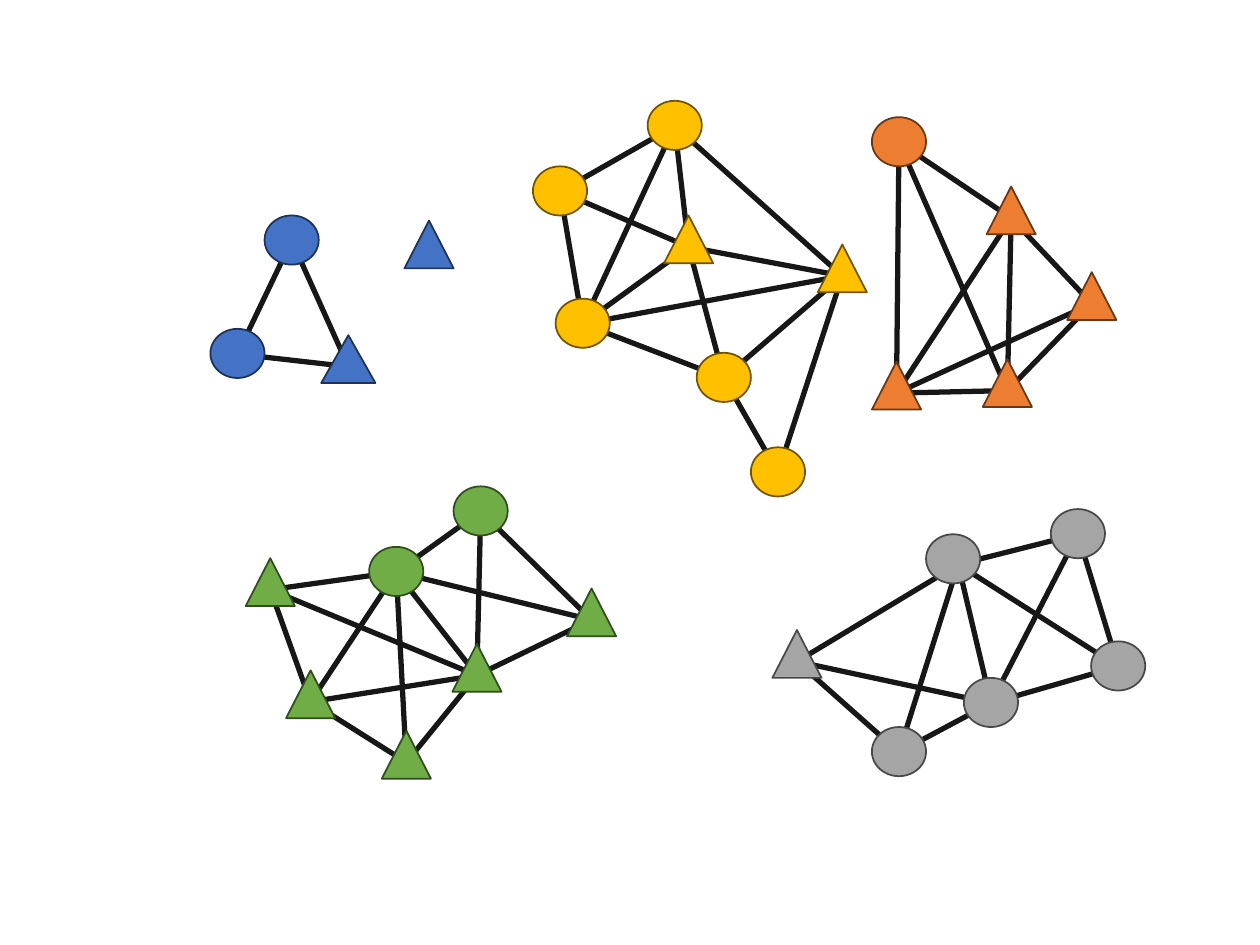
from dataclasses import dataclass

from lxml import etree
from pptx import Presentation
from pptx.dml.color import RGBColor
from pptx.enum.shapes import MSO_CONNECTOR, MSO_SHAPE
from pptx.oxml.ns import qn
from pptx.util import Inches, Pt

CIRCLE = MSO_SHAPE.OVAL
TRIANGLE = MSO_SHAPE.ISOSCELES_TRIANGLE
STRAIGHT = MSO_CONNECTOR.STRAIGHT
BLANK_LAYOUT = 6

EDGE_COLOR = RGBColor(0x18, 0x17, 0x17)
BLUE, BLUE_LINE = RGBColor(0x44, 0x72, 0xC4), RGBColor(0x1E, 0x32, 0x56)
GREEN, GREEN_LINE = RGBColor(0x70, 0xAD, 0x47), RGBColor(0x31, 0x4C, 0x1F)
YELLOW, YELLOW_LINE = RGBColor(0xFF, 0xC0, 0x00), RGBColor(0x70, 0x54, 0x00)
ORANGE, ORANGE_LINE = RGBColor(0xED, 0x7D, 0x31), RGBColor(0x68, 0x37, 0x15)
GRAY, GRAY_LINE = RGBColor(0xA5, 0xA5, 0xA5), RGBColor(0x48, 0x48, 0x48)


@dataclass
class Node:
    kind: int
    left: float
    top: float
    width: float
    height: float
    anchor_y: float  # where edges meet, measured from the top
    shift: float = 0  # moves the meeting point right and down

    def anchor(self):
        return (self.left + self.width / 2 + self.shift,
                self.top + self.anchor_y + self.shift)


def circle(left, top, shift=0):
    return Node(CIRCLE, left, top, 0.43, 0.39, 0.2, shift)


def triangle(left, top, width=0.39):
    return Node(TRIANGLE, left, top, width, 0.38, 0.25)


class NetworkSlide:
    """Style and current slide for drawing clusters of linked nodes."""

    edge_width = Pt(3)
    outline_width = Pt(1)

    def __init__(self, deck):
        self.slide = deck.slides.add_slide(deck.slide_layouts[BLANK_LAYOUT])

    def edge(self, start, end):
        points = [Inches(value) for value in start.anchor() + end.anchor()]
        line = self.slide.shapes.add_connector(STRAIGHT, *points)
        line.line.color.rgb = EDGE_COLOR
        line.line.width = self.edge_width
        etree.SubElement(line._element.spPr, qn("a:effectLst"))

    def node(self, node, fill, outline):
        shape = self.slide.shapes.add_shape(
            node.kind, Inches(node.left), Inches(node.top),
            Inches(node.width), Inches(node.height))
        shape.shadow.inherit = False
        shape.fill.solid()
        shape.fill.fore_color.rgb = fill
        shape.line.color.rgb = outline
        shape.line.width = self.outline_width

    def cluster(self, fill, outline, nodes, edges):
        """Draw the edges first, so that the nodes cover their ends."""
        for start, end in edges.split():
            self.edge(nodes[start], nodes[end])
        for node in nodes.values():
            self.node(node, fill, outline)


# Each cluster: fill, outline, nodes by letter, edges as letter pairs
CLUSTERS = [
    (BLUE, BLUE_LINE, {
        "a": circle(2.1, 1.71),
        "b": circle(1.67, 2.61),
        "c": triangle(2.55, 2.66, width=0.43),
        "d": triangle(3.21, 1.75),
    }, "ac ab cb"),
    (GREEN, GREEN_LINE, {
        "a": circle(3.6, 3.86),
        "b": triangle(1.95, 4.43),
        "c": triangle(2.27, 5.32),
        "d": triangle(3.03, 5.8),
        "e": triangle(4.5, 4.67),
        "f": circle(2.93, 4.34),
        "g": triangle(3.59, 5.11),
    }, "fg cd cg dg cf df cb fb gb ga fa ea ge ef"),
    (YELLOW, YELLOW_LINE, {
        "a": circle(4.23, 1.32),
        "b": circle(4.41, 2.37),
        "c": circle(5.14, 0.8),
        "d": circle(5.53, 2.8),
        "e": triangle(5.27, 1.71),
        "f": triangle(6.49, 1.94),
        "g": circle(5.96, 3.55),
    }, "ed ce gd fd fg fe fb eb bd ba ea ca cf cb"),
    (ORANGE, ORANGE_LINE, {
        "a": triangle(8.47, 2.16),
        "b": triangle(7.8, 2.85),
        "c": triangle(6.92, 2.87),
        "d": triangle(7.83, 1.48),
        "e": circle(6.92, 0.93),
    }, "ab db da bc dc ac de ce be"),
    (GRAY, GRAY_LINE, {
        "a": circle(8.34, 4.04),
        "b": circle(7.35, 4.24, shift=0.04),
        "c": circle(8.66, 5.09),
        "d": circle(7.65, 5.38),
        "e": circle(6.92, 5.77),
        "f": triangle(6.13, 5),
    }, "bf be ed dc ac bd bc ba da ef df"),
]


def main():
    deck = Presentation()
    deck.slide_width = Inches(10)
    deck.slide_height = Inches(7.5)
    network = NetworkSlide(deck)
    for cluster in CLUSTERS:
        network.cluster(*cluster)
    deck.save("out.pptx")


if __name__ == "__main__":
    main()
